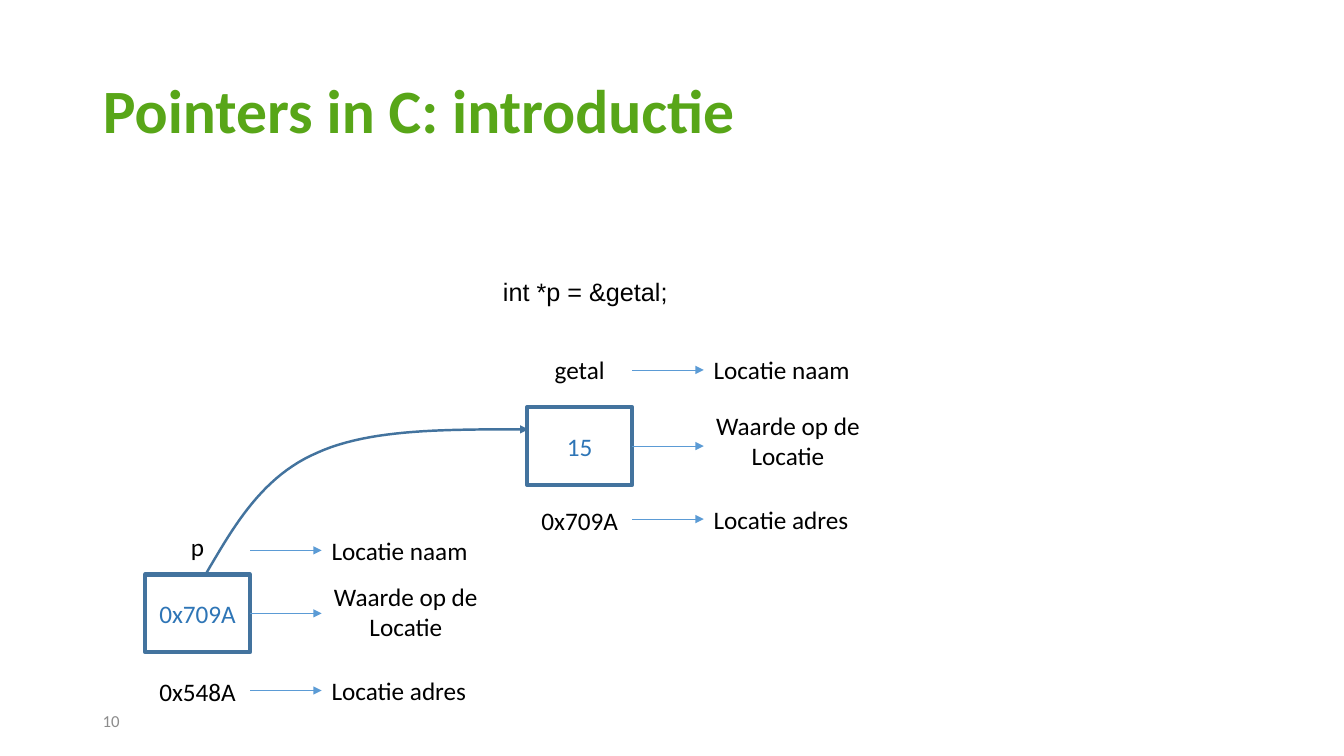
from dataclasses import dataclass

from lxml.etree import SubElement
from pptx import Presentation
from pptx.dml.color import RGBColor
from pptx.enum.shapes import MSO_CONNECTOR, MSO_SHAPE
from pptx.enum.text import MSO_ANCHOR, MSO_AUTO_SIZE, PP_ALIGN
from pptx.oxml.ns import qn
from pptx.shapes.autoshape import Shape
from pptx.shapes.connector import Connector
from pptx.slide import Slide
from pptx.text.text import TextFrame
from pptx.util import Inches, Pt

BLACK = RGBColor(0x00, 0x00, 0x00)
GREEN = RGBColor(0x58, 0xA6, 0x18)
GREY = RGBColor(0x8C, 0x8C, 0x8C)
DARK_BLUE = RGBColor(0x43, 0x73, 0x9E)
VALUE_BLUE = RGBColor(0x2E, 0x75, 0xB6)
ARROW_BLUE = RGBColor(0x5B, 0x9B, 0xD5)

CELL_WIDTH, CELL_HEIGHT = 1.04, 0.77
LINE_HEIGHT = 0.4
LABEL_OFFSET = 1.75
ARROW_DROP = 0.2

Point = tuple[float, float]


@dataclass(frozen=True)
class MemoryLocation:
    name: str
    value: str
    address: str
    left: float
    cell_top: float
    name_top: float
    address_top: float
    name_label_top: float
    value_label_top: float
    address_label_top: float


LOCATIONS = (
    MemoryLocation("getal", "15", "0x709A", 5.23, 4.04, 3.47, 4.96, 3.47, 4.02, 4.95),
    MemoryLocation("p", "0x709A", "0x548A", 1.44, 5.7, 5.22, 6.66, 5.26, 5.72, 6.65),
)
POINTER_CURVE: tuple[tuple[Point, Point, Point, Point], ...] = (
    ((2.05, 5.68), (2.33, 5.2), (2.61, 4.72), (3.15, 4.49)),
    ((3.15, 4.49), (3.68, 4.25), (4.46, 4.26), (5.24, 4.26)),
)


def format_text(frame: TextFrame, text: str, size: float = 18, color: RGBColor = BLACK,
                align: PP_ALIGN = PP_ALIGN.LEFT, font: str = "Calibri") -> None:
    frame.text = text
    paragraph = frame.paragraphs[0]
    paragraph.alignment = align
    for run in paragraph.runs:
        run.font.name = font
        run.font.size = Pt(size)
        run.font.color.rgb = color


def add_text(slide: Slide, text: str, left: float, top: float, width: float,
             height: float = LINE_HEIGHT, align: PP_ALIGN = PP_ALIGN.LEFT) -> TextFrame:
    frame = slide.shapes.add_textbox(
        Inches(left), Inches(top), Inches(width), Inches(height)).text_frame
    frame.word_wrap = True
    format_text(frame, text, align=align)
    return frame


def add_arrowhead(arrow: Shape | Connector) -> None:
    SubElement(arrow.line._get_or_add_ln(), qn("a:tailEnd"), type="triangle")


def add_arrow(slide: Slide, left: float, y: float) -> Connector:
    """Draw the arrow from a location's right edge to its label."""
    arrow = slide.shapes.add_connector(
        MSO_CONNECTOR.STRAIGHT, Inches(left + CELL_WIDTH), Inches(y),
        Inches(left + LABEL_OFFSET), Inches(y))
    arrow.line.color.rgb = ARROW_BLUE
    arrow.line.width = Pt(0.5)
    add_arrowhead(arrow)
    SubElement(arrow._element.spPr, qn("a:effectLst"))
    return arrow


def add_location(slide: Slide, location: MemoryLocation) -> None:
    left = location.left
    cell = slide.shapes.add_shape(
        MSO_SHAPE.RECTANGLE, Inches(left), Inches(location.cell_top),
        Inches(CELL_WIDTH), Inches(CELL_HEIGHT))
    cell.shadow.inherit = False
    cell.fill.background()
    cell.line.color.rgb = DARK_BLUE
    cell.line.width = Pt(3)
    cell.text_frame.vertical_anchor = MSO_ANCHOR.MIDDLE
    format_text(cell.text_frame, location.value, color=VALUE_BLUE, align=PP_ALIGN.CENTER)

    for text, top in ((location.name, location.name_top),
                      (location.address, location.address_top)):
        add_text(slide, text, left, top, CELL_WIDTH, align=PP_ALIGN.CENTER)

    label_left = left + LABEL_OFFSET
    for label, top in (("Locatie naam", location.name_label_top),
                       ("Locatie adres", location.address_label_top)):
        add_text(slide, label, label_left, top, 2)
        add_arrow(slide, left, top + ARROW_DROP)
    add_text(slide, "Waarde op de Locatie", label_left, location.value_label_top,
             1.67, 0.71, PP_ALIGN.CENTER)
    value_arrow = add_arrow(slide, left, location.cell_top + CELL_HEIGHT / 2)
    value_arrow.begin_connect(cell, 3)


def bezier_point(controls: tuple[Point, Point, Point, Point], t: float) -> Point:
    weights = ((1 - t) ** 3, 3 * t * (1 - t) ** 2, 3 * t ** 2 * (1 - t), t ** 3)
    x, y = (sum(weight * point[axis] for weight, point in zip(weights, controls))
            for axis in (0, 1))
    return x, y


def add_pointer_curve(slide: Slide, steps: int = 24) -> None:
    points = [(Inches(x), Inches(y)) for controls in POINTER_CURVE
              for x, y in (bezier_point(controls, step / steps)
                           for step in range(1, steps + 1))]
    start_x, start_y = POINTER_CURVE[0][0]
    builder = slide.shapes.build_freeform(Inches(start_x), Inches(start_y))
    builder.add_line_segments(points, close=False)
    curve = builder.convert_to_shape()
    curve.shadow.inherit = False
    curve.fill.background()
    curve.line.color.rgb = DARK_BLUE
    curve.line.width = Pt(1.75)
    add_arrowhead(curve)


def add_title(slide: Slide) -> None:
    title = slide.shapes.title
    title.left, title.top = Inches(0.92), Inches(0.4)
    title.width, title.height = Inches(11.5), Inches(1.45)
    frame = title.text_frame
    frame.auto_size = MSO_AUTO_SIZE.NONE
    frame.vertical_anchor = MSO_ANCHOR.MIDDLE
    format_text(frame, "Pointers in C: introductie", 44, GREEN)
    frame.paragraphs[0].line_spacing = 0.9
    frame.paragraphs[0].runs[0].font.bold = True


def main() -> None:
    presentation = Presentation()
    presentation.slide_width, presentation.slide_height = Inches(13.33), Inches(7.5)
    slide = presentation.slides.add_slide(presentation.slide_layouts[5])
    add_title(slide)

    page_number = add_text(slide, "10", 0.92, 6.95, 1.54)
    page_number.vertical_anchor = MSO_ANCHOR.MIDDLE
    format_text(page_number, "10", 12, GREY)

    for location in LOCATIONS:
        add_location(slide, location)
    add_pointer_curve(slide)

    declaration = add_text(slide, "int *p = &getal;", 4.89, 2.69, 1.85, 0.71)
    declaration.word_wrap = False
    format_text(declaration, "int *p = &getal;", font="Arial")

    presentation.save("out.pptx")


if __name__ == "__main__":
    main()
